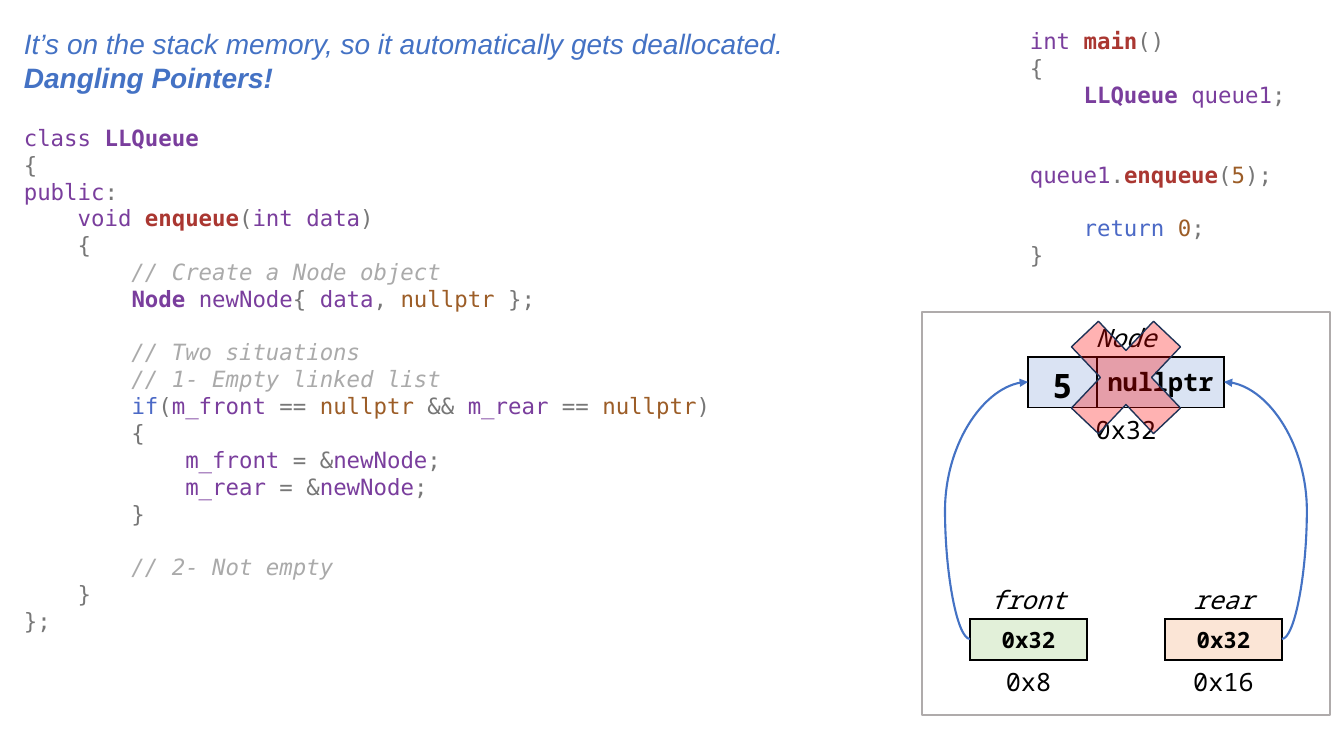
"""Build the slide on dangling pointers in a linked-list queue."""
from itertools import groupby

from lxml import etree
from pptx import Presentation
from pptx.dml.color import RGBColor
from pptx.enum.shapes import MSO_CONNECTOR, MSO_SHAPE
from pptx.enum.text import MSO_ANCHOR, MSO_AUTO_SIZE, PP_ALIGN
from pptx.oxml.ns import qn
from pptx.util import Emu, Pt

PX = 914400 / 100.8
MONO, CODE_FONT, SANS = "Noto Sans Mono", "DejaVu Sans Mono", "Arial"
NO_STYLE = "{2D5ABB26-0587-4C30-8999-92F81FD0307C}"

COLORS = {
    "accent": "4472C4", "ink": "000000", "frame": "AFABAB",
    "name": "7A3E9D", "type": "7A3E9D", "function": "AA3731",
    "keyword": "4B69C6", "value": "9C5D27", "punct": "777777",
    "comment": "AAAAAA", "node": "DAE3F3", "front": "E2F0D9",
    "rear": "FBE5D6", "cross": "FF0000", "cross_line": "1E3256",
}

WORDS = {
    "main": "function", "enqueue": "function", "LLQueue": "type",
    "Node": "type", "if": "keyword", "return": "keyword",
    "nullptr": "value", "0": "value", "5": "value",
}

MAIN_CODE = """int main()
{
    LLQueue queue1;

    queue1.enqueue(5);

    return 0;
}"""

CLASS_CODE = """class LLQueue
{
public:
    void enqueue(int data)
    {
        // Create a Node object
        Node newNode{ data, nullptr };

        // Two situations
        // 1- Empty linked list
        if(m_front == nullptr && m_rear == nullptr)
        {
            m_front = &newNode;
            m_rear = &newNode;
        }

        // 2- Not empty
    }
};"""


def px(*lengths):
    """Turn pixel lengths into EMU."""
    return [Emu(round(n * PX)) for n in lengths]


def rgb(key):
    """Look up a named colour."""
    return RGBColor.from_string(COLORS[key])


def add_text(p, text, size=16, font=MONO, color="ink", bold=False, italic=False):
    """Add one formatted run to a paragraph."""
    r = p.add_run()
    r.text = text
    r.font.size, r.font.name = Pt(size), font
    r.font.bold, r.font.italic = bold, italic
    r.font.color.rgb = rgb(color)


def add_box(s, box):
    """Add an empty wrapping text box and return its frame."""
    tf = s.shapes.add_textbox(*px(*box)).text_frame
    tf.word_wrap = True
    tf.auto_size = MSO_AUTO_SIZE.SHAPE_TO_FIT_TEXT
    return tf


def add_title(s, box):
    """Write the two-line remark."""
    tf = add_box(s, box)
    style = {"size": 20, "font": SANS, "color": "accent", "italic": True}
    add_text(tf.paragraphs[0], "It’s on the stack memory, so it automatically gets deallocated.", **style)
    add_text(tf.add_paragraph(), "Dangling Pointers!", bold=True, **style)


def highlight(line):
    """Split a code line into pieces of text with their kind."""
    if line.strip().startswith("//"):
        return [(line, "comment")]
    pieces = []
    for is_word, chars in groupby(line, lambda c: c.isalnum() or c == "_"):
        text = "".join(chars)
        pieces.append((text, WORDS.get(text, "name") if is_word else "punct"))
    return pieces


def add_code(s, box, code):
    """Write highlighted code, with blank lines as paragraph spacing."""
    tf = add_box(s, box)
    p, gap = tf.paragraphs[0], 0
    for i, line in enumerate(code.split("\n")):
        if not line:
            gap = 19
            continue
        if i:
            p = tf.add_paragraph()
            p.space_before = Pt(gap)
        gap = 0
        for text, kind in highlight(line):
            add_text(p, text, font=CODE_FONT, color=kind,
                     bold=kind in ("type", "function"), italic=kind == "comment")


def set_borders(cell, sides):
    """Draw black one-point borders on the given cell sides."""
    tcPr = cell._tc.get_or_add_tcPr()
    for side in "LRTB":
        ln = etree.SubElement(tcPr, qn(f"a:ln{side}"), w="12700")
        if side in sides:
            fill = etree.SubElement(ln, qn("a:solidFill"))
            etree.SubElement(fill, qn("a:srgbClr"), val=COLORS["ink"])
        else:
            etree.SubElement(ln, qn("a:noFill"))


def add_memory(s, x, y, widths, middle, name, values, address, fill, sizes):
    """Draw a named memory cell with its address below."""
    heights, n = (41, middle, 41), len(widths)
    frame = s.shapes.add_table(3, n, *px(x, y, sum(widths), sum(heights)))
    table = frame.table
    table.first_row = table.horz_banding = False
    table._tbl.tblPr.find(qn("a:tableStyleId")).text = NO_STYLE
    for column, width in zip(table.columns, px(*widths)):
        column.width = width
    for row, height in zip(table.rows, px(*heights)):
        row.height = height
    rows = [([name], "B", [18], {"italic": True}),
            (values, "LRTB", sizes, {"bold": True}),
            ([address], "T", [18], {})]
    for i, (texts, sides, points, style) in enumerate(rows):
        for j in range(n):
            cell = table.cell(i, j)
            set_borders(cell, sides)
            if i == 1:
                cell.fill.solid()
                cell.fill.fore_color.rgb = rgb(fill)
                cell.vertical_anchor = MSO_ANCHOR.MIDDLE
            else:
                cell.fill.background()
        if len(texts) < n:
            table.cell(i, 0).merge(table.cell(i, n - 1))
        for j, (text, size) in enumerate(zip(texts, points)):
            p = table.cell(i, j).text_frame.paragraphs[0]
            p.alignment = PP_ALIGN.CENTER
            add_text(p, text, size=size, **style)


def add_pointer(s, start, end):
    """Draw a curved arrow that bulges outwards."""
    c = s.shapes.add_connector(MSO_CONNECTOR.CURVE, *px(*start, *end))
    c.line.color.rgb, c.line.width = rgb("accent"), Pt(1.5)
    etree.SubElement(c.line._get_or_add_ln(), qn("a:tailEnd"), type="triangle")
    spPr = c._element.spPr
    etree.SubElement(spPr, qn("a:effectLst"))
    guides = spPr.find(qn("a:prstGeom")).get_or_add_avLst()
    etree.SubElement(guides, qn("a:gd"), name="adj1", fmla="val -43000")


def add_outline(s, kind, box, line, width):
    """Add a shadowless shape with a coloured outline."""
    sp = s.shapes.add_shape(kind, *px(*box))
    sp.shadow.inherit = False
    sp.fill.background()
    sp.line.color.rgb, sp.line.width = rgb(line), Pt(width)
    return sp


def add_memory_panel(s, box):
    """Draw the pointers, the node and its crossing-out."""
    x, y, w, h = box
    for name, dx, address in (("front", 48, "0x8"), ("rear", 243, "0x16")):
        add_memory(s, x + dx, y + 266, [117], 41, name, ["0x32"], address, name, [16])
    add_outline(s, MSO_SHAPE.RECTANGLE, box, "frame", 1.5)
    add_memory(s, x + 106, y + 4, [69, 127], 49, "Node", ["5", "nullptr"],
               "0x32", "node", [24, 18])
    for start, end in ((48, 106), (360, 302)):
        add_pointer(s, (x + start, y + 327), (x + end, y + 70))
    cross = add_outline(s, MSO_SHAPE.MATH_MULTIPLY, (x + 125, y - 18, 158, 167), "cross_line", 1)
    cross.fill.solid()
    cross.fill.fore_color.rgb = rgb("cross")
    color = cross._element.spPr.find(qn("a:solidFill"))[0]
    etree.SubElement(color, qn("a:alpha"), val="30000")


def main():
    """Build and save the presentation."""
    prs = Presentation()
    prs.slide_width, prs.slide_height = px(1344, 756)
    s = prs.slides.add_slide(prs.slide_layouts[6])
    add_title(s, (14, 22, 1316, 78))
    add_code(s, (1020, 22, 309, 231), MAIN_CODE)
    add_code(s, (14, 119, 771, 526), CLASS_CODE)
    add_memory_panel(s, (922, 312, 408, 403))
    prs.save("out.pptx")


if __name__ == "__main__":
    main()
